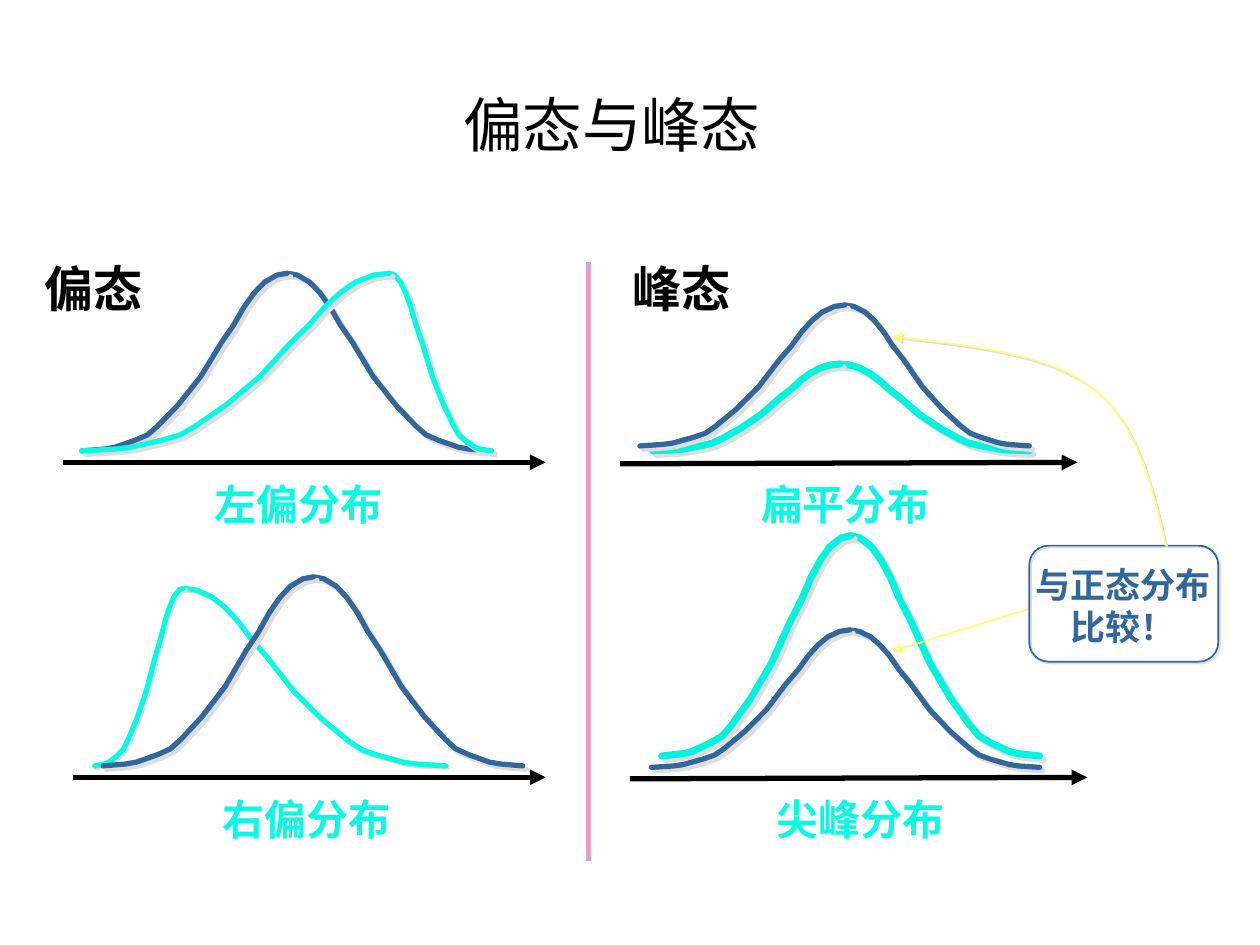
from lxml.etree import SubElement
from pptx import Presentation
from pptx.dml.color import RGBColor
from pptx.enum.shapes import MSO_CONNECTOR, MSO_SHAPE
from pptx.enum.text import MSO_ANCHOR, MSO_AUTO_SIZE, PP_ALIGN
from pptx.oxml.ns import qn
from pptx.util import Cm, Pt

COLORS = {
    "black": "000000",
    "normal": "336699",
    "skewed": "0BF9E2",
    "kurtosis": "00F4DD",
    "divider": "E1A1C6",
    "pointer": "FFFF7F",
    "shadow": "DDDDDD",
}

# Half a bell curve: (share of the way to the peak, share of the peak height)
BELL = [
    (0, 0), (0.11, 0.01), (0.16, 0.02), (0.21, 0.04), (0.26, 0.06), (0.32, 0.09),
    (0.37, 0.14), (0.47, 0.26), (0.58, 0.42), (0.68, 0.61), (0.74, 0.71),
    (0.79, 0.81), (0.84, 0.89), (0.89, 0.95), (0.95, 0.99), (1, 1),
]


def style_line(shape, color, width, arrow=False):
    shape.line.color.rgb = RGBColor.from_string(COLORS[color])
    shape.line.width = Pt(width)
    outline = shape.line._get_or_add_ln()
    if arrow:
        SubElement(outline, qn("a:tailEnd"), type="triangle")
    else:
        outline.set("cap", "rnd")


def add_shadow(shape, distance):
    """Give an unfilled shape a hard grey shadow down to the right."""
    shape.fill.background()
    shape.shadow.inherit = False
    effects = shape._element.spPr.find(qn("a:effectLst"))
    outer = SubElement(effects, qn("a:outerShdw"), dist=str(Pt(distance)),
                       dir="2700000", algn="ctr", rotWithShape="0")
    SubElement(outer, qn("a:srgbClr"), val=COLORS["shadow"])


deck = Presentation()
deck.slide_width, deck.slide_height = Cm(25.4), Cm(19.05)
page = deck.slides.add_slide(deck.slide_layouts[5])
shapes = page.shapes

title = shapes.title
title.left, title.top, title.width, title.height = Cm(2.49), Cm(0.91), Cm(19.69), Cm(3.18)
title.text_frame.text = "偏态与峰态"
title.text_frame.vertical_anchor = MSO_ANCHOR.MIDDLE
para = title.text_frame.paragraphs[0]
para.alignment = PP_ALIGN.CENTER
para.font.size = Pt(34)
para.font.name = "DejaVu Sans"
para.font.color.rgb = RGBColor.from_string(COLORS["black"])

# Bell curves: left end, peak, right end, base, top, colour, width, shadow distance
curves = [
    (13.16, 16.93, 20.75, 9.09, 7.34, "kurtosis", 4, 2.8),
    (12.9, 17.03, 20.75, 8.99, 6.15, "normal", 3, 2.8),
    (13.34, 17.15, 20.96, 15.24, 10.8, "kurtosis", 4, 2.8),
    (13.13, 17.13, 20.96, 15.47, 12.7, "normal", 3, 2.8),
    (1.65, 5.79, 9.91, 9.09, 5.51, "normal", 3, 2.8),
    (1.65, 7.85, 9.91, 9.09, 5.51, "skewed", 3, 2.8),
    (1.91, 3.7, 8.99, 15.44, 11.86, "skewed", 3, 1.4),
    (2.08, 6.32, 10.54, 15.44, 11.63, "normal", 3, 2.8),
]
for left, peak, right, base, top, color, width, distance in curves:
    for end in (right, left):
        points = [(Cm(end + (peak - end) * along), Cm(base + (top - base) * rise))
                  for along, rise in BELL]
        builder = shapes.build_freeform(*points[0])
        builder.add_line_segments(points[1:], close=False)
        half = builder.convert_to_shape()
        style_line(half, color, width)
        add_shadow(half, distance)

# Axes, divider and straight pointer: start, end, colour, width, arrow
lines = [
    (12.5, 9.35, 21.72, 9.32, "black", 3, True),
    (12.7, 15.7, 21.92, 15.67, "black", 3, True),
    (1.27, 9.32, 11, 9.32, "black", 3, True),
    (1.47, 15.67, 11, 15.67, "black", 3, True),
    (11.86, 5.28, 11.86, 17.35, "divider", 3, False),
    (20.75, 12.27, 17.98, 13.13, "pointer", 1, True),
]
for x1, y1, x2, y2, color, width, arrow in lines:
    line = shapes.add_connector(MSO_CONNECTOR.STRAIGHT, Cm(x1), Cm(y1), Cm(x2), Cm(y2))
    style_line(line, color, width, arrow)
    if not arrow:
        line.line._get_or_add_ln().set("cap", "flat")
    SubElement(line._element.spPr, qn("a:effectLst"))

callout = shapes.add_shape(MSO_SHAPE.FLOWCHART_ALTERNATE_PROCESS,
                           Cm(20.75), Cm(11), Cm(3.81), Cm(2.34))
style_line(callout, "normal", 1)
add_shadow(callout, 1.4)

# Curved pointer: the control points are joined by lines, then turned into two Béziers
controls = [(23.5, 11), (23.22, 9.78), (22.94, 8.53), (22.02, 7.82),
            (21.11, 7.14), (19.53, 6.96), (17.98, 6.78)]
points = [(Cm(x), Cm(y)) for x, y in controls]
builder = shapes.build_freeform(*points[0])
builder.add_line_segments(points[1:], close=False)
pointer = builder.convert_to_shape()
segments = list(pointer._element.iter(qn("a:lnTo")))
outline = segments[0].getparent()
for first in (0, 3):
    bezier = SubElement(outline, qn("a:cubicBezTo"))
    for segment in segments[first:first + 3]:
        bezier.append(segment[0])
        outline.remove(segment)
style_line(pointer, "pointer", 1, arrow=True)
add_shadow(pointer, 1.4)

# Labels: text, left, top, width, height, size, colour, alignment
labels = [
    ("偏态", 0.64, 5.08, 3.38, 1.42, 28, "black", PP_ALIGN.LEFT),
    ("峰态", 12.5, 5.08, 3.38, 1.42, 28, "black", PP_ALIGN.LEFT),
    ("左偏分布", 4.01, 9.53, 4.01, 1.27, 24, "skewed", PP_ALIGN.CENTER),
    ("右偏分布", 4.24, 15.88, 4.01, 1.27, 24, "skewed", PP_ALIGN.LEFT),
    ("扁平分布", 14.81, 9.53, 4.45, 1.27, 24, "skewed", PP_ALIGN.CENTER),
    ("尖峰分布", 14.81, 15.88, 5.08, 1.27, 24, "skewed", PP_ALIGN.CENTER),
    ("与正态分布比较！", 20.52, 11.23, 4.24, 1.93, 20, "normal", PP_ALIGN.CENTER),
]
for text, left, top, width, height, size, color, alignment in labels:
    box = shapes.add_textbox(Cm(left), Cm(top), Cm(width), Cm(height))
    frame = box.text_frame
    frame.word_wrap = True
    frame.auto_size = MSO_AUTO_SIZE.SHAPE_TO_FIT_TEXT
    frame.text = text
    para = frame.paragraphs[0]
    para.alignment = alignment
    span = para.runs[0]
    span.font.name = "Arial"
    span.font.size = Pt(size)
    span.font.bold = True
    span.font.color.rgb = RGBColor.from_string(COLORS[color])

deck.save("out.pptx")
